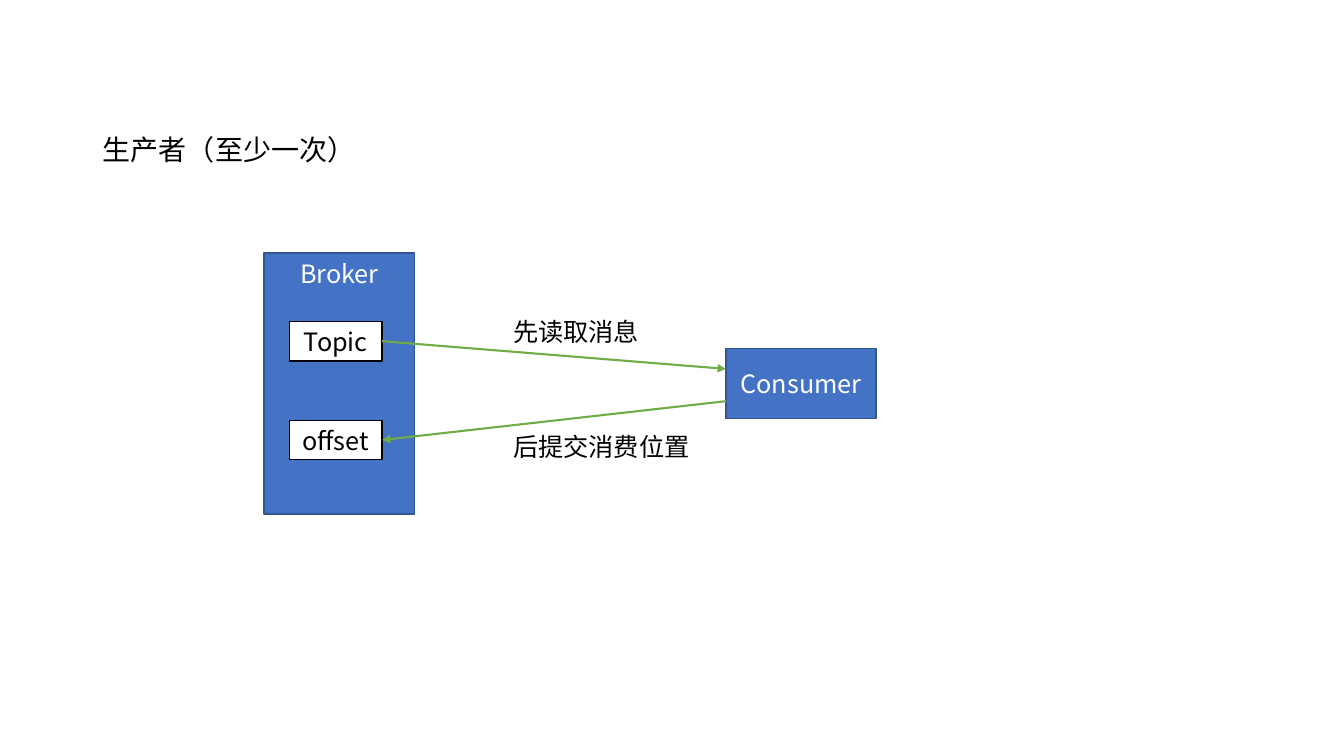
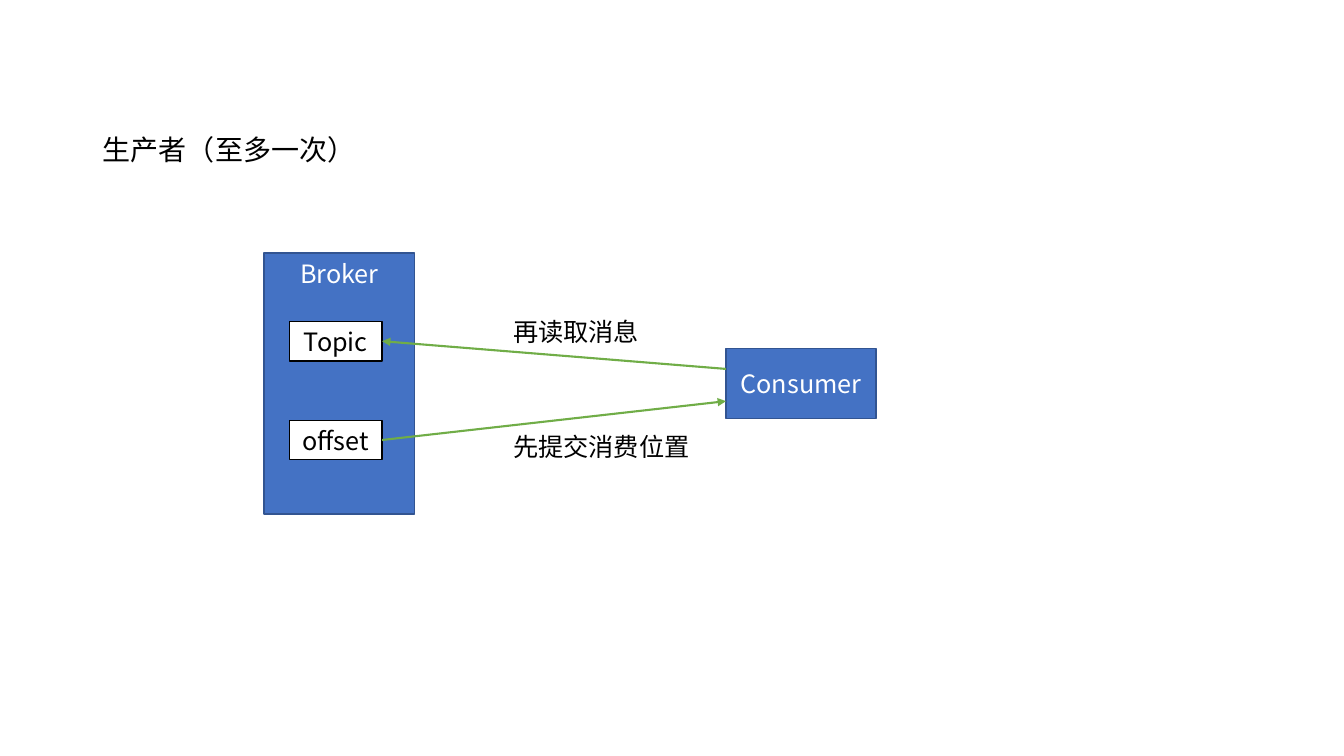
from dataclasses import dataclass

from lxml import etree
from pptx import Presentation
from pptx.dml.color import RGBColor
from pptx.enum.shapes import MSO_CONNECTOR, MSO_SHAPE
from pptx.enum.text import MSO_ANCHOR, MSO_AUTO_SIZE, PP_ALIGN
from pptx.oxml.ns import qn
from pptx.util import Inches, Pt

RECTANGLE = MSO_SHAPE.RECTANGLE
STRAIGHT = MSO_CONNECTOR.STRAIGHT
TOP, MIDDLE = MSO_ANCHOR.TOP, MSO_ANCHOR.MIDDLE
LEFT, CENTER = PP_ALIGN.LEFT, PP_ALIGN.CENTER
GROW = MSO_AUTO_SIZE.SHAPE_TO_FIT_TEXT
RIGHT_SIDE = 3


@dataclass(frozen=True)
class Theme:
    font: str = "Noto Sans CJK SC"
    title_size: int = 20
    body_size: int = 18
    blue: str = "4472C4"
    blue_edge: str = "325491"
    green: str = "70AD47"
    black: str = "000000"
    white: str = "FFFFFF"
    edge_width: float = 1
    arrow_width: float = 1.5


class Deck:
    """Holds the style and the current slide, and draws each kind of element."""

    def __init__(self, theme):
        self.theme = theme
        self.presentation = Presentation()
        self.presentation.slide_width = Inches(13.33)
        self.presentation.slide_height = Inches(7.5)
        self.slide = None

    def add_text(self, frame, text, size, color, alignment):
        paragraph = frame.paragraphs[0]
        paragraph.alignment = alignment
        run = paragraph.add_run()
        run.text = text
        run.font.size = Pt(size)
        run.font.color.rgb = RGBColor.from_string(color)
        run.font.name = self.theme.font
        properties = run._r.get_or_add_rPr()
        east_asian = etree.Element(qn("a:ea"), typeface=self.theme.font)
        properties.find(qn("a:latin")).addnext(east_asian)
        return paragraph

    def add_slide(self, title_text):
        layout = self.presentation.slide_layouts[5]
        self.slide = self.presentation.slides.add_slide(layout)
        title = self.slide.shapes.title
        title.left, title.top = Inches(0.92), Inches(0.4)
        title.width, title.height = Inches(11.5), Inches(2.21)
        title.text_frame.vertical_anchor = MIDDLE
        paragraph = self.add_text(title.text_frame, title_text, self.theme.title_size, self.theme.black, LEFT)
        paragraph.line_spacing = 0.9

    def box(self, text, left, top, width, height, fill, edge, color, anchor=MIDDLE):
        shape = self.slide.shapes.add_shape(
            RECTANGLE, Inches(left), Inches(top), Inches(width), Inches(height))
        shape.shadow.inherit = False
        shape.fill.solid()
        shape.fill.fore_color.rgb = RGBColor.from_string(fill)
        shape.line.color.rgb = RGBColor.from_string(edge)
        shape.line.width = Pt(self.theme.edge_width)
        shape.text_frame.vertical_anchor = anchor
        self.add_text(shape.text_frame, text, self.theme.body_size, color, CENTER)
        return shape

    def node(self, text, left, top, height, anchor=MIDDLE):
        theme = self.theme
        return self.box(text, left, top, 1.49, height, theme.blue, theme.blue_edge, theme.white, anchor)

    def store(self, text, top):
        theme = self.theme
        return self.box(text, 2.87, top, 0.92, 0.39, theme.white, theme.black, theme.black)

    def label(self, text, left, top):
        width = 0.2 + 0.25 * len(text)
        shape = self.slide.shapes.add_textbox(Inches(left), Inches(top), Inches(width), Inches(0.4))
        shape.text_frame.word_wrap = False
        shape.text_frame.auto_size = GROW
        self.add_text(shape.text_frame, text, self.theme.body_size, self.theme.black, LEFT)

    def arrow(self, store, consumer, height, to_consumer):
        store_end = store.left + store.width, store.top + store.height // 2
        consumer_end = consumer.left, Inches(height)
        start, end = (store_end, consumer_end) if to_consumer else (consumer_end, store_end)
        connector = self.slide.shapes.add_connector(STRAIGHT, *start, *end)
        join = connector.begin_connect if to_consumer else connector.end_connect
        join(store, RIGHT_SIDE)
        connector.line.color.rgb = RGBColor.from_string(self.theme.green)
        connector.line.width = Pt(self.theme.arrow_width)
        properties = connector._element.spPr
        etree.SubElement(properties.find(qn("a:ln")), qn("a:tailEnd"), type="triangle")
        etree.SubElement(properties, qn("a:effectLst"))

    def delivery_slide(self, title, read_text, commit_text, read_first):
        self.add_slide(title)
        self.node("Broker", 2.62, 2.51, 2.59, TOP)
        consumer = self.node("Consumer", 7.2, 3.46, 0.69)
        topic = self.store("Topic", 3.19)
        offset = self.store("offset", 4.17)
        self.arrow(topic, consumer, 3.66, read_first)
        self.arrow(offset, consumer, 3.98, not read_first)
        self.label(read_text, 4.99, 3.09)
        self.label(commit_text, 4.99, 4.23)


def main():
    deck = Deck(Theme())
    deck.delivery_slide("生产者（至少一次）", "先读取消息", "后提交消费位置", True)
    deck.delivery_slide("生产者（至多一次）", "再读取消息", "先提交消费位置", False)
    deck.presentation.save("out.pptx")


if __name__ == "__main__":
    main()
